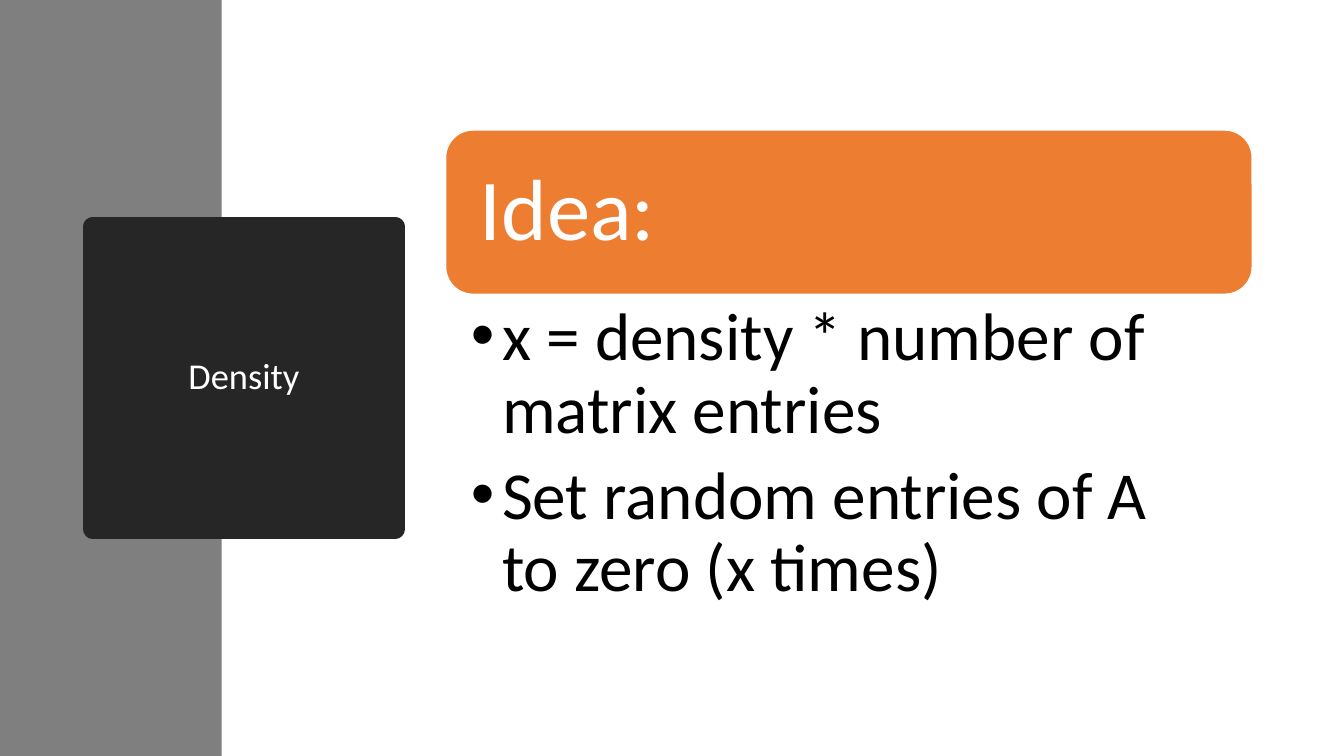
from dataclasses import dataclass

from lxml.etree import SubElement
from pptx import Presentation
from pptx.dml.color import RGBColor
from pptx.enum.shapes import MSO_SHAPE
from pptx.enum.text import MSO_ANCHOR, PP_ALIGN
from pptx.oxml.ns import qn
from pptx.util import Inches, Pt

GREY = RGBColor(0x7F, 0x7F, 0x7F)
DARK = RGBColor(0x26, 0x26, 0x26)
ORANGE = RGBColor(0xED, 0x7D, 0x31)
WHITE = RGBColor(0xFF, 0xFF, 0xFF)
BLACK = RGBColor(0, 0, 0)
FONT = "Calibri"
INDENT = Inches(0.31)


@dataclass
class Panel:
    box: tuple
    kind: MSO_SHAPE
    fill: RGBColor
    line: RGBColor | None = None
    width: float = 0


@dataclass
class Label:
    box: tuple
    text: str
    size: int
    color: RGBColor
    inset: tuple = (0.1, 0.05, 0.1, 0.05)
    align: PP_ALIGN = PP_ALIGN.LEFT
    anchor: MSO_ANCHOR = MSO_ANCHOR.MIDDLE
    after: float = 0  # share of the text size
    bullet: bool = False


PANELS = [
    Panel((0, 0, 2.2, 7.5), MSO_SHAPE.RECTANGLE, GREY),
    Panel((0.92, 2.25, 3, 3), MSO_SHAPE.RECTANGLE, DARK, DARK, 13.75),
    Panel((4.42, 1.29, 8, 1.63), MSO_SHAPE.ROUNDED_RECTANGLE, ORANGE, WHITE, 1),
]
LABELS = [
    Label((0.92, 2.25, 3, 3), "Density", 26, WHITE, align=PP_ALIGN.CENTER),
    Label((4.5, 1.37, 7.84, 1.47), "Idea:", 62, WHITE, (0.26,) * 4, after=0.35),
    Label(
        (4.42, 2.91, 8, 3.3),
        "x = density * number of matrix entries\n"
        "Set random entries of A to zero (x times)",
        48, BLACK, (0.25, 0.09, 0.48, 0.09),
        anchor=MSO_ANCHOR.TOP, after=0.2, bullet=True,
    ),
]


def draw_panel(slide, panel: Panel) -> None:
    shape = slide.shapes.add_shape(panel.kind, *map(Inches, panel.box))
    shape.shadow.inherit = False
    shape.fill.solid()
    shape.fill.fore_color.rgb = panel.fill
    if panel.line is None:
        shape.line.fill.background()
        return
    shape.line.color.rgb = panel.line
    shape.line.width = Pt(panel.width)
    # Round joins soften the corners of a thick outline
    SubElement(shape.line._get_or_add_ln(), qn("a:round"))


def add_bullet(para) -> None:
    props = para._p.get_or_add_pPr()
    props.set("marL", str(INDENT))
    props.set("indent", str(-INDENT))
    SubElement(props, qn("a:buFont")).set("typeface", "Arial")
    SubElement(props, qn("a:buChar")).set("char", "•")


def draw_label(slide, label: Label) -> None:
    frame = slide.shapes.add_textbox(*map(Inches, label.box)).text_frame
    frame.word_wrap = True
    frame.vertical_anchor = label.anchor
    (frame.margin_left, frame.margin_top,
     frame.margin_right, frame.margin_bottom) = map(Inches, label.inset)
    frame.text = label.text
    for para in frame.paragraphs:
        para.alignment = label.align
        para.line_spacing = 0.9
        para.space_after = Pt(label.size * label.after)
        if label.bullet:
            add_bullet(para)
        for run in para.runs:
            run.font.name = FONT
            run.font.size = Pt(label.size)
            run.font.color.rgb = label.color


def main() -> None:
    deck = Presentation()
    deck.slide_width, deck.slide_height = Inches(13.33), Inches(7.5)
    slide = deck.slides.add_slide(deck.slide_layouts[6])
    # Side band, title square and idea banner
    for panel in PANELS:
        draw_panel(slide, panel)
    # Title, heading and bullet list
    for label in LABELS:
        draw_label(slide, label)
    deck.save("out.pptx")


if __name__ == "__main__":
    main()
